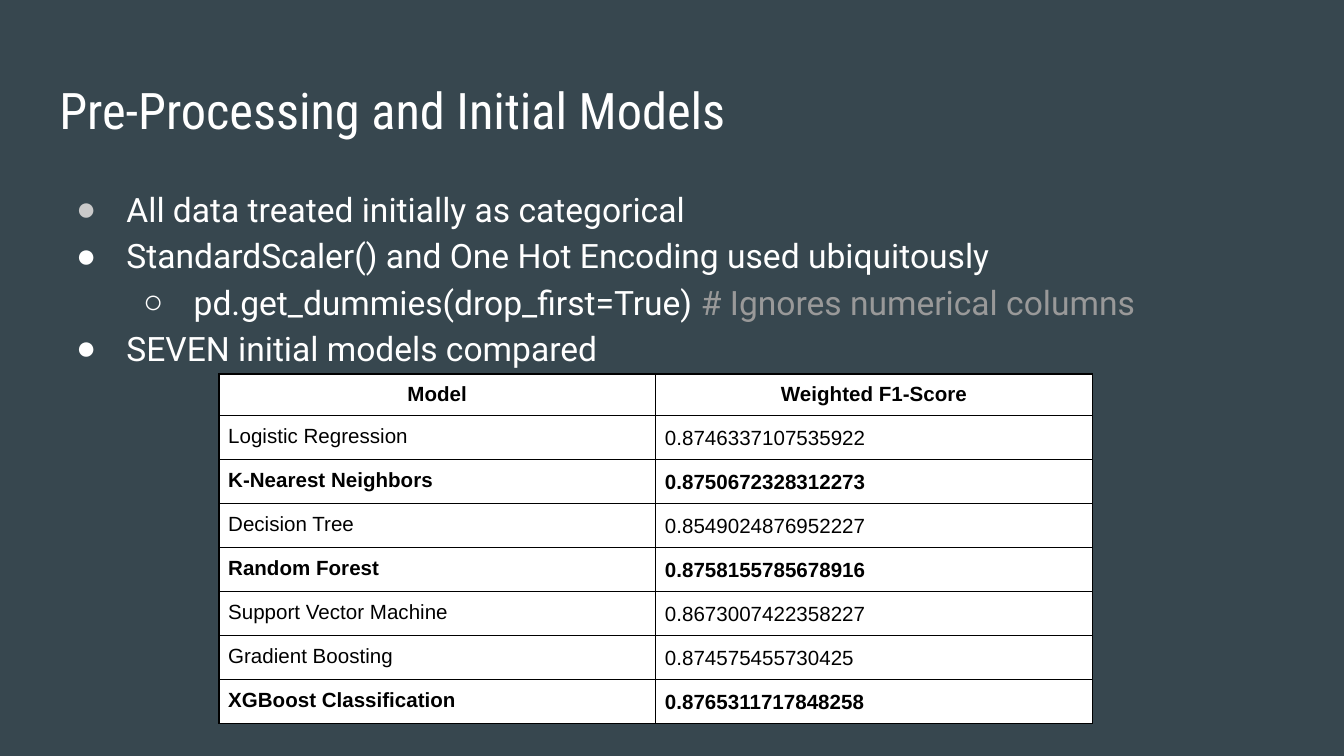
from lxml import etree
from pptx import Presentation
from pptx.dml.color import RGBColor
from pptx.enum.text import MSO_ANCHOR, MSO_AUTO_SIZE, PP_ALIGN
from pptx.oxml.ns import qn
from pptx.util import Pt

LEFT, CENTER = PP_ALIGN.LEFT, PP_ALIGN.CENTER
TOP = MSO_ANCHOR.TOP
NO_FIT = MSO_AUTO_SIZE.NONE
PX = 3175  # EMU per px, 288 px to the inch

COLORS = {
    "background": "37474F",
    "text": "FFFFFF",
    "comment": "999999",
    "soft_bullet": "CACACA",
    "cell": "FFFFFF",
    "cell_text": "000000",
    "border": "000000",
}

# Each bullet: level, bullet colour, (text, colour) runs
BULLETS = [
    (0, "soft_bullet", [("All data treated initially as categorical", "text")]),
    (0, "text", [("StandardScaler() and One Hot Encoding used ubiquitously", "text")]),
    (1, "text", [("pd.get_dummies(drop_first=True) ", "text"),
                 ("# Ignores numerical columns", "comment")]),
    (0, "text", [("SEVEN initial models compared", "text")]),
]

HEADER = ("Model", "Weighted F1-Score")
SCORES = [
    ("Logistic Regression", "0.8746337107535922"),
    ("K-Nearest Neighbors", "0.8750672328312273"),
    ("Decision Tree", "0.8549024876952227"),
    ("Random Forest", "0.8758155785678916"),
    ("Support Vector Machine", "0.8673007422358227"),
    ("Gradient Boosting", "0.874575455730425"),
    ("XGBoost Classification", "0.8765311717848258"),
]
BEST_MODELS = {"K-Nearest Neighbors", "Random Forest", "XGBoost Classification"}


def rgb(name):
    return RGBColor.from_string(COLORS[name])


class SlideBuilder:
    title_font, body_font, table_font = "Roboto Condensed", "Roboto", "Arial"
    bullet_font = "Arial"
    title_size, body_size, table_size = 27, 18, 11
    inset, cell_inset = 29, 20
    level_indent, hanging = 144, 108

    def __init__(self, presentation):
        self.slide = presentation.slides.add_slide(presentation.slide_layouts[1])
        fill = self.slide.background.fill
        fill.solid()
        fill.fore_color.rgb = rgb("background")

    def style_run(self, run, font, size, color, bold=False):
        run.font.name = font
        run.font.size = Pt(size)
        run.font.bold = bold
        run.font.color.rgb = rgb(color)

    def place(self, placeholder, left, top, width, height):
        placeholder.left, placeholder.top = left * PX, top * PX
        placeholder.width, placeholder.height = width * PX, height * PX
        frame = placeholder.text_frame
        frame.margin_left = frame.margin_right = self.inset * PX
        frame.margin_top = frame.margin_bottom = self.inset * PX
        frame.vertical_anchor = TOP
        frame.auto_size = NO_FIT
        frame.word_wrap = True
        return frame

    def title(self, text, *box):
        frame = self.place(self.slide.shapes.title, *box)
        frame.text = text
        heading = frame.paragraphs[0]
        heading.alignment = LEFT
        self.style_run(heading.runs[0], self.title_font, self.title_size, "text")

    def bullets(self, items, *box):
        frame = self.place(self.slide.placeholders[1], *box)
        for index, (level, bullet_color, parts) in enumerate(items):
            item = frame.add_paragraph() if index else frame.paragraphs[0]
            item.level = level
            item.alignment = LEFT
            item.line_spacing = 1.15
            item.space_before = Pt(0)
            for text, color in parts:
                run = item.add_run()
                run.text = text
                self.style_run(run, self.body_font, self.body_size, color)
            self.bullet_mark(item, level, bullet_color)

    def bullet_mark(self, item, level, color):
        properties = item._p.get_or_add_pPr()
        properties.set("marL", str(self.level_indent * (level + 1) * PX))
        properties.set("indent", str(-self.hanging * PX))
        mark_color = etree.SubElement(properties, qn("a:buClr"))
        etree.SubElement(mark_color, qn("a:srgbClr"), val=COLORS[color])
        etree.SubElement(properties, qn("a:buFont"), typeface=self.bullet_font)
        etree.SubElement(properties, qn("a:buChar"), char="●○"[level])

    def score_table(self, header, scores, left, top, column_width, row_height):
        rows = [header, *scores]
        table = self.slide.shapes.add_table(
            len(rows), len(header), left * PX, top * PX,
            column_width * len(header) * PX, row_height * len(rows) * PX).table
        table.first_row = table.horz_banding = False
        for r, row in enumerate(rows):
            for c, text in enumerate(row):
                is_header = r == 0
                self.cell(table.cell(r, c), text,
                          bold=is_header or row[0] in BEST_MODELS,
                          alignment=CENTER if is_header else LEFT,
                          spacing=1.11 if c and not is_header else 1.0)

    def cell(self, cell, text, bold, alignment, spacing):
        cell.margin_left = cell.margin_right = self.cell_inset * PX
        cell.margin_top = cell.margin_bottom = self.cell_inset * PX
        cell.vertical_anchor = TOP
        cell.text = text
        paragraph = cell.text_frame.paragraphs[0]
        paragraph.alignment = alignment
        paragraph.line_spacing = spacing
        self.style_run(paragraph.runs[0], self.table_font, self.table_size,
                       "cell_text", bold)
        # Borders come before the fill in the cell properties
        properties = cell._tc.get_or_add_tcPr()
        for side in ("a:lnL", "a:lnR", "a:lnT", "a:lnB"):
            line = etree.SubElement(properties, qn(side), w=str(Pt(1)))
            line_fill = etree.SubElement(line, qn("a:solidFill"))
            etree.SubElement(line_fill, qn("a:srgbClr"), val=COLORS["border"])
        cell.fill.solid()
        cell.fill.fore_color.rgb = rgb("cell")


def main():
    presentation = Presentation()
    presentation.slide_width, presentation.slide_height = 2880 * PX, 1620 * PX
    builder = SlideBuilder(presentation)

    # Heading and list
    builder.title("Pre-Processing and Initial Models", 98, 141, 2684, 181)
    builder.bullets(BULLETS, 98, 363, 2615, 1077)

    # Model comparison; rows grow to fit their text
    builder.score_table(HEADER, SCORES, 469, 801, column_width=936, row_height=3)

    presentation.save("out.pptx")


if __name__ == "__main__":
    main()
